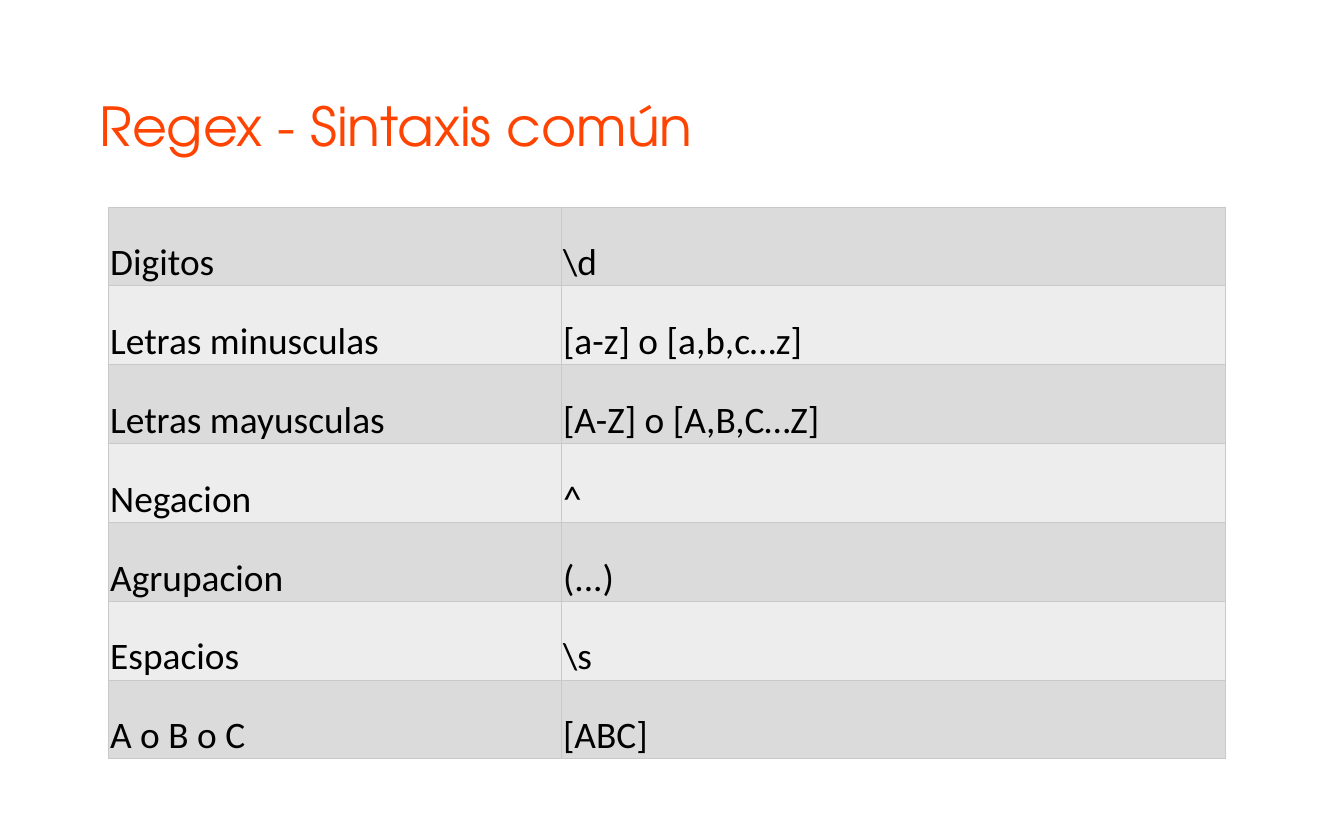
from typing import NamedTuple

from lxml.etree import SubElement
from pptx import Presentation
from pptx.dml.color import RGBColor
from pptx.enum.text import MSO_ANCHOR as Anchor, PP_ALIGN as Align
from pptx.oxml.ns import qn
from pptx.slide import Slide
from pptx.table import _Cell as Cell
from pptx.text.text import TextFrame
from pptx.util import Inches, Pt

COLORS = {
    "title": "FF4401",
    "text": "000000",
    "odd_row": "DBDBDB",
    "even_row": "EDEDED",
    "border": "C9C9C9",
}
COLUMN_WIDTHS = (3.37, 4.94)
ROW_HEIGHT = 0.587


class Rule(NamedTuple):
    meaning: str
    syntax: str


RULES = (
    Rule("Digitos", r"\d"),
    Rule("Letras minusculas", "[a-z] o [a,b,c…z]"),
    Rule("Letras mayusculas", "[A-Z] o [A,B,C…Z]"),
    Rule("Negacion", "^"),
    Rule("Agrupacion", "(...)"),
    Rule("Espacios", r"\s"),
    Rule("A o B o C", "[ABC]"),
)


def write_text(frame: TextFrame, text: str, *, font: str, size: float, color: str) -> None:
    paragraph = frame.paragraphs[0]
    paragraph.alignment = Align.LEFT
    run = paragraph.add_run()
    run.text = text
    run.font.name = font
    run.font.size = Pt(size)
    run.font.bold = False
    run.font.color.rgb = RGBColor.from_string(COLORS[color])


def add_borders(cell: Cell, color: str, width: float) -> None:
    """Outline all four sides; call before the fill, which must follow in the XML."""
    properties = cell._tc.get_or_add_tcPr()
    for side in ("a:lnL", "a:lnR", "a:lnT", "a:lnB"):
        line = SubElement(properties, qn(side), w=str(Pt(width)))
        fill = SubElement(line, qn("a:solidFill"))
        SubElement(fill, qn("a:srgbClr"), val=COLORS[color])


def format_cell(cell: Cell, text: str, fill: str) -> None:
    add_borders(cell, "border", 0.5)
    cell.fill.solid()
    cell.fill.fore_color.rgb = RGBColor.from_string(COLORS[fill])
    cell.vertical_anchor = Anchor.BOTTOM
    cell.margin_left = cell.margin_top = cell.margin_right = Inches(0.01)
    cell.margin_bottom = 0
    write_text(cell.text_frame, text, font="Calibri", size=20, color="text")


def add_title(slide: Slide, text: str) -> None:
    title = slide.shapes.title
    title.left, title.top = Inches(0.64), Inches(0.68)
    title.width, title.height = Inches(8.49), Inches(0.5)
    title.text_frame.vertical_anchor = Anchor.MIDDLE
    write_text(title.text_frame, text, font="TeX Gyre Adventor", size=28.8, color="title")


def add_rules_table(slide: Slide, rules: tuple[Rule, ...]) -> None:
    table = slide.shapes.add_table(
        len(rules), len(COLUMN_WIDTHS), Inches(0.81), Inches(1.54),
        Inches(sum(COLUMN_WIDTHS)), Inches(ROW_HEIGHT * len(rules)),
    ).table
    table.first_row = False
    for column, width in zip(table.columns, COLUMN_WIDTHS):
        column.width = Inches(width)
    for index, (row, rule) in enumerate(zip(table.rows, rules)):
        row.height = Inches(ROW_HEIGHT)
        fill = "even_row" if index % 2 else "odd_row"
        for cell, text in zip(row.cells, rule):
            format_cell(cell, text, fill)


def main() -> None:
    presentation = Presentation()
    presentation.slide_width = Inches(10)
    presentation.slide_height = Inches(6.25)
    slide = presentation.slides.add_slide(presentation.slide_layouts[5])
    add_title(slide, "Regex - Sintaxis común")
    add_rules_table(slide, RULES)
    presentation.save("out.pptx")


if __name__ == "__main__":
    main()
